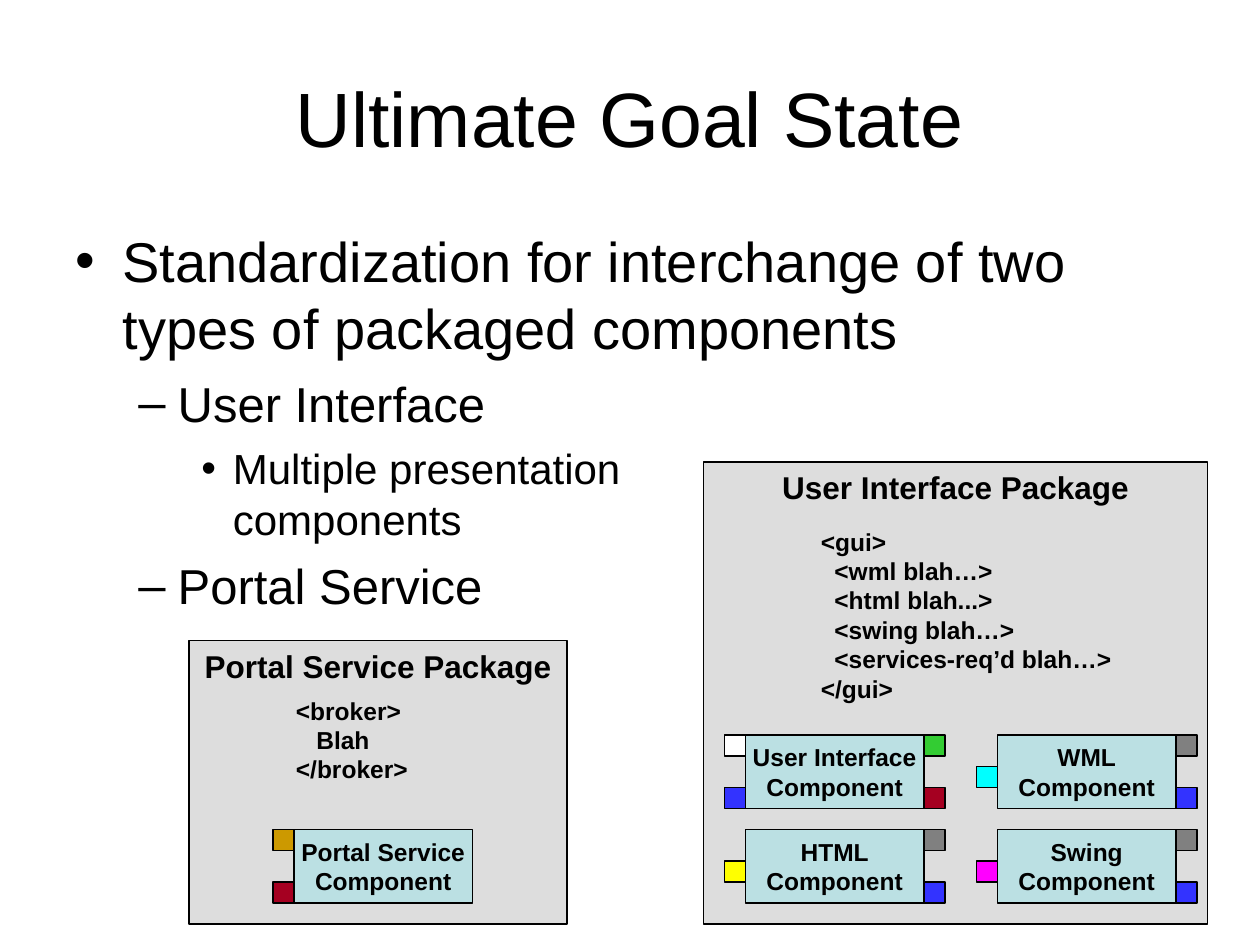
from typing import NamedTuple

from lxml.etree import SubElement as Sub
from pptx import Presentation
from pptx.dml.color import RGBColor as Rgb
from pptx.enum.shapes import MSO_SHAPE as Shape
from pptx.enum.text import MSO_ANCHOR as Anchor, MSO_AUTO_SIZE as Fit, PP_ALIGN as Align
from pptx.oxml.ns import qn
from pptx.util import Pt

BLACK, GRAY, TEAL = "000000", "DDDDDD", "BBE0E3"
BLUE, RED, DARK = "3333FF", "A50021", "808080"
WIDE, HIGH, PIN = 102, 42, 12
LEFT, RIGHT = -PIN, WIDE
TOP, MID, LOW = 0, 18, HIGH - PIN


class Box(NamedTuple):
    x: float
    y: float
    w: float
    h: float


class Pin(NamedTuple):
    x: float
    y: float
    color: str


class Unit(NamedTuple):
    x: float
    y: float
    name: str
    pins: list[Pin]


class Pack(NamedTuple):
    box: Box
    name: str
    code_box: Box
    code: list[str]
    wrap: bool
    units: list[Unit]


class Item(NamedTuple):
    text: str
    level: int


class Rank(NamedTuple):
    size: float
    margin: float
    hang: float
    gap: float
    mark: str


RANKS = [
    Rank(32, 27, 27, 8, "•"),
    Rank(28, 58.5, 22.5, 7, "–"),
    Rank(24, 90, 18, 6, "•"),
]

ITEMS = [
    Item("Standardization for interchange of two types of packaged components", 0),
    Item("User Interface", 1),
    Item("Multiple presentation\ncomponents", 2),
    Item("Portal Service", 1),
]


def view_pins(color: str) -> list[Pin]:
    return [Pin(RIGHT, LOW, BLUE), Pin(LEFT, MID, color), Pin(RIGHT, TOP, DARK)]


PACKS = [
    Pack(
        Box(108, 366, 216, 162), "Portal Service Package",
        Box(162, 394, 78.5, 57.6), ["<broker>", "   Blah", "</broker>"], False,
        [Unit(168, 474, "Portal Service",
              [Pin(LEFT, LOW, RED), Pin(LEFT, TOP, "CC9900")])],
    ),
    Pack(
        Box(402, 264, 288, 264), "User Interface Package",
        Box(462, 297.4, 222, 108),
        ["<gui>", "  <wml blah…>", "  <html blah...>", "  <swing blah…>",
         "  <services-req’d blah…>", "</gui>"], True,
        [
            Unit(426, 420, "User Interface",
                 [Pin(LEFT, LOW, BLUE), Pin(RIGHT, LOW, RED),
                  Pin(RIGHT, TOP, "33CC33"), Pin(LEFT, TOP, "FFFFFF")]),
            Unit(570, 420, "WML", view_pins("00FFFF")),
            Unit(570, 474, "Swing", view_pins("FF00FF")),
            Unit(426, 474, "HTML", view_pins("FFFF00")),
        ],
    ),
]


def paint(target, color: str) -> None:
    if hasattr(target, "solid"):
        target.solid()
        target = target.fore_color
    else:
        target = target.color
    target.rgb = Rgb.from_string(color)


def apply(target, style: dict) -> None:
    for key, value in style.items():
        setattr(target, key, value)


def place(box: Box) -> list[Pt]:
    return [Pt(side) for side in box]


def set_frame(frame, wrap: bool, anchor=Anchor.TOP) -> None:
    apply(frame, {
        "auto_size": Fit.NONE, "word_wrap": wrap, "vertical_anchor": anchor,
        "margin_left": Pt(7.2), "margin_right": Pt(7.2),
        "margin_top": Pt(3.6), "margin_bottom": Pt(3.6),
    })


def write(frame, lines: list[str], size: float, bold: bool, align) -> None:
    frame.text = "\n".join(lines)
    for para in frame.paragraphs:
        para.alignment = align
        style_runs(para, size, bold)


def style_runs(para, size: float, bold: bool) -> None:
    for run in para.runs:
        apply(run.font, {"name": "Arial", "size": Pt(size), "bold": bold})
        paint(run.font, BLACK)


def draw_rect(group, box: Box, color: str):
    rect = group.shapes.add_shape(Shape.RECTANGLE, *place(box))
    rect.shadow.inherit = False
    paint(rect.fill, color)
    paint(rect.line, BLACK)
    rect.line.width = Pt(0.75)
    return rect


def draw_unit(group, unit: Unit) -> None:
    rect = draw_rect(group, Box(unit.x, unit.y, WIDE, HIGH), TEAL)
    set_frame(rect.text_frame, False, Anchor.MIDDLE)
    write(rect.text_frame, [unit.name, "Component"], 14, True, Align.CENTER)
    for pin in unit.pins:
        draw_rect(group, Box(unit.x + pin.x, unit.y + pin.y, PIN, PIN), pin.color)


def draw_pack(slide, pack: Pack) -> None:
    group = slide.shapes.add_group_shape()
    rect = draw_rect(group, pack.box, GRAY)
    set_frame(rect.text_frame, False)
    write(rect.text_frame, [pack.name], 18, True, Align.CENTER)
    code = group.shapes.add_textbox(*place(pack.code_box))
    set_frame(code.text_frame, pack.wrap)
    write(code.text_frame, pack.code, 14, True, Align.LEFT)
    for unit in pack.units:
        draw_unit(group, unit)


def draw_title(slide, text: str) -> None:
    title = slide.shapes.title
    sides = place(Box(36, 21.6, 648, 90))
    apply(title, dict(zip(("left", "top", "width", "height"), sides)))
    set_frame(title.text_frame, True, Anchor.MIDDLE)
    write(title.text_frame, [text], 44, False, Align.CENTER)


def draw_list(slide, items: list[Item]) -> None:
    frame = slide.shapes.add_textbox(*place(Box(36, 126, 648, 356.4))).text_frame
    set_frame(frame, True)
    for index, item in enumerate(items):
        rank = RANKS[item.level]
        para = frame.add_paragraph() if index else frame.paragraphs[0]
        apply(para, {"text": item.text, "level": item.level,
                     "space_before": Pt(rank.gap if index else 0)})
        props = para._p.get_or_add_pPr()
        props.set("marL", str(Pt(rank.margin)))
        props.set("indent", str(-Pt(rank.hang)))
        Sub(Sub(props, qn("a:buClr")), qn("a:srgbClr"), val=BLACK)
        Sub(props, qn("a:buFont"), typeface="Arial")
        Sub(props, qn("a:buChar"), char=rank.mark)
        style_runs(para, rank.size, False)


def main() -> None:
    deck = Presentation()
    apply(deck, {"slide_width": Pt(720), "slide_height": Pt(540)})
    slide = deck.slides.add_slide(deck.slide_layouts.get_by_name("Title Only"))
    draw_title(slide, "Ultimate Goal State")
    draw_list(slide, ITEMS)
    for pack in PACKS:
        draw_pack(slide, pack)
    deck.save("out.pptx")


if __name__ == "__main__":
    main()
